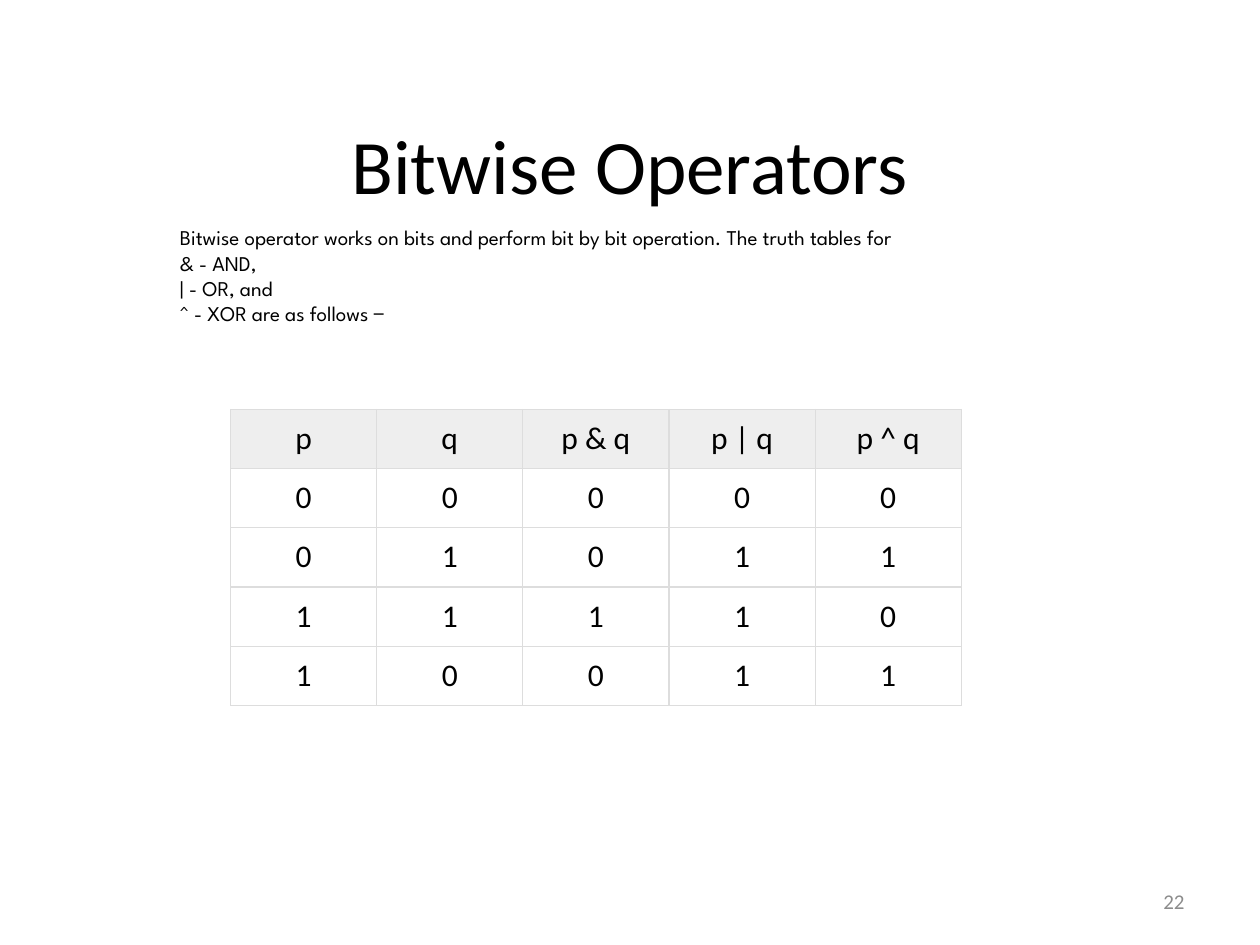
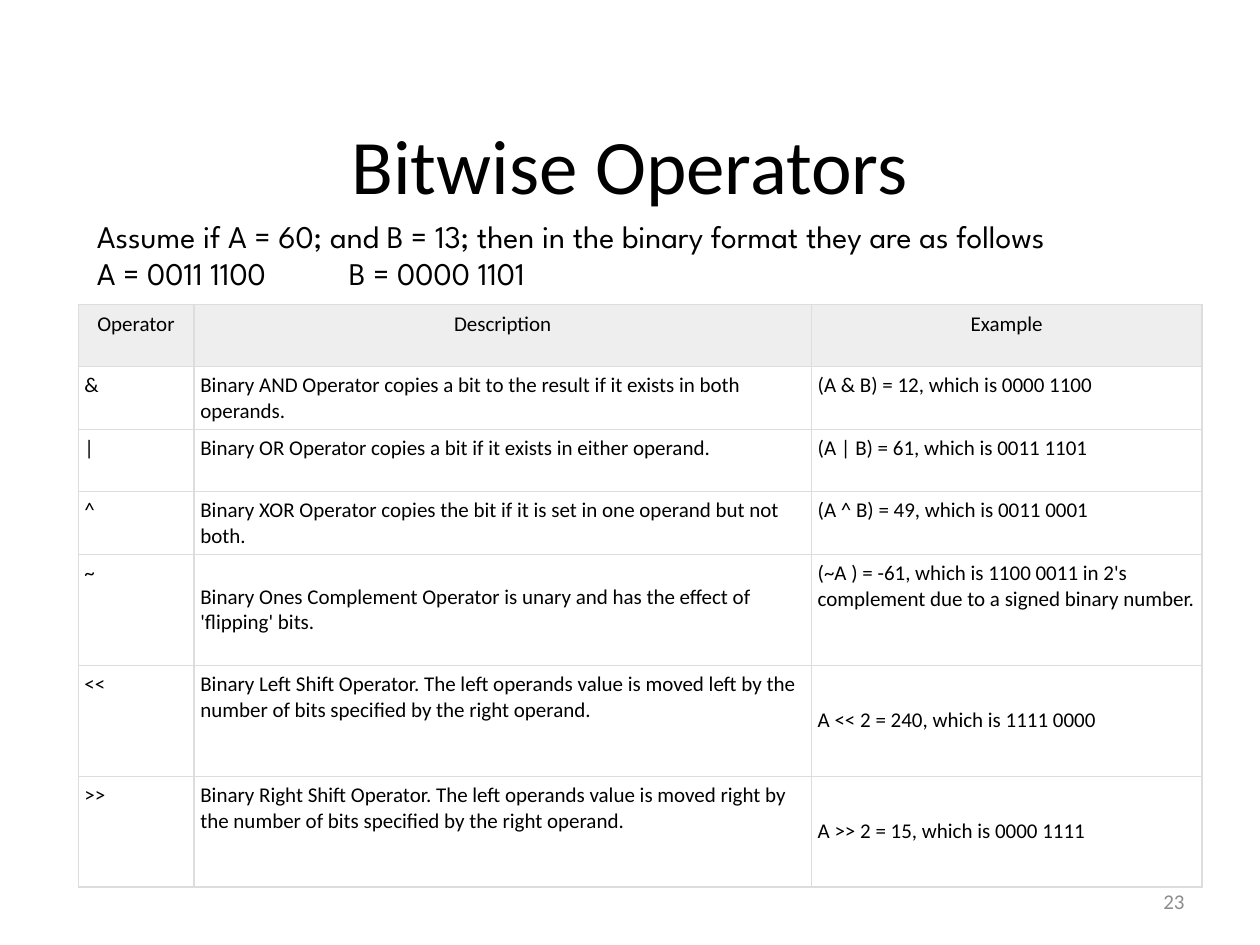
from lxml.etree import SubElement
from pptx import Presentation
from pptx.dml.color import RGBColor
from pptx.enum.text import MSO_ANCHOR as Anchor, PP_ALIGN as Align
from pptx.oxml.ns import qn
from pptx.util import Inches, Pt

BLACK = RGBColor(0x00, 0x00, 0x00)
GREY = RGBColor(0x8C, 0x8C, 0x8C)
HEADER_FILL = RGBColor(0xEE, 0xEE, 0xEE)
BORDER = RGBColor(0xDD, 0xDD, 0xDD)
BODY_FONT = "Calibri"
INTRO_FONT = "League Spartan"

TITLE_BOX = (0.5, 0.67, 9, 1.25)
NUMBER_BOX = (7.17, 6.95, 2.33, 0.4)

TRUTH_INTRO = [
    "Bitwise operator works on bits and perform bit by bit operation. The truth tables for",
    "& - AND,",
    "| - OR, and",
    "^ - XOR are as follows −",
]
TRUTH_ROWS = [
    ("p", "q", "p & q", "p | q", "p ^ q"),
    *[(p, q, p & q, p | q, p ^ q) for p, q in ((0, 0), (0, 1), (1, 1), (1, 0))],
]

OPERATOR_INTRO = [
    "Assume if A = 60; and B = 13; then in the binary format they are as follows",
    "A = 0011 1100\t\tB = 0000 1101",
]
OPERATOR_ROWS = [
    ("Operator", "Description", "Example"),
    ("&", "Binary AND Operator copies a bit to the result if it exists in both operands.",
     "(A & B) = 12, which is 0000 1100"),
    ("|", "Binary OR Operator copies a bit if it exists in either operand.",
     "(A | B) = 61, which is 0011 1101"),
    ("^", "Binary XOR Operator copies the bit if it is set in one operand but not both.",
     "(A ^ B) = 49, which is 0011 0001"),
    ("~", "Binary Ones Complement Operator is unary and has the effect of 'flipping' bits.",
     "(~A ) = -61, which is 1100 0011 in 2's complement due to a signed binary number."),
    ("<<", "Binary Left Shift Operator. The left operands value is moved left by the number "
     "of bits specified by the right operand.",
     "A << 2 = 240, which is 1111 0000"),
    (">>", "Binary Right Shift Operator. The left operands value is moved right by the number "
     "of bits specified by the right operand.",
     "A >> 2 = 15, which is 0000 1111"),
]
CENTERED_CELLS = {(4, 1), (5, 2), (6, 2)}


def set_all(target, values):
    for name, value in values.items():
        setattr(target, name, value)


def write_lines(text_frame, lines, size, font=BODY_FONT, color=BLACK, align=Align.LEFT):
    for index, line in enumerate(lines):
        paragraph = text_frame.add_paragraph() if index else text_frame.paragraphs[0]
        paragraph.alignment = align
        run = paragraph.add_run()
        run.text = line
        set_all(run.font, {"size": Pt(size), "name": font, "bold": False})
        run.font.color.rgb = color


def add_text(slide, box, lines, size, anchor=Anchor.MIDDLE, **text_format):
    text_frame = slide.shapes.add_textbox(*map(Inches, box)).text_frame
    set_all(text_frame, {"word_wrap": True, "vertical_anchor": anchor})
    write_lines(text_frame, lines, size, **text_format)


def add_borders(cell):
    properties = cell._tc.get_or_add_tcPr()
    for side in ("a:lnL", "a:lnR", "a:lnT", "a:lnB"):
        line = SubElement(properties, qn(side), w=str(Pt(0.75)))
        fill = SubElement(line, qn("a:solidFill"))
        SubElement(fill, qn("a:srgbClr"), val=str(BORDER))


def add_grid(slide, box, rows, widths, heights, size, inset, align, centered=()):
    frame = slide.shapes.add_table(len(rows), len(widths), *map(Inches, box))
    table = frame.table
    set_all(table, {"first_row": False, "horz_banding": False})
    for column, width in zip(table.columns, widths):
        column.width = Inches(width)
    for row, height in zip(table.rows, heights):
        row.height = Inches(height)
    margins = dict.fromkeys(
        ("margin_left", "margin_right", "margin_top", "margin_bottom"), Inches(inset))
    for r, values in enumerate(rows):
        for c, value in enumerate(values):
            cell = table.cell(r, c)
            set_all(cell, margins)
            cell.vertical_anchor = Anchor.MIDDLE if (r, c) in centered else Anchor.TOP
            write_lines(cell.text_frame, [str(value)], size,
                        align=align if r else Align.CENTER)
            add_borders(cell)
            if r == 0:
                cell.fill.solid()
                cell.fill.fore_color.rgb = HEADER_FILL
            else:
                cell.fill.background()


def add_base_slide(presentation, number):
    slide = presentation.slides.add_slide(presentation.slide_layouts[6])
    add_text(slide, TITLE_BOX, ["Bitwise Operators"], 44, align=Align.CENTER)
    add_text(slide, NUMBER_BOX, [str(number)], 12, color=GREY, align=Align.RIGHT)
    return slide


def add_truth_slide(presentation):
    slide = add_base_slide(presentation, 22)
    add_grid(slide, (1.83, 3.25, 5.81, 2.36), TRUTH_ROWS, [1.16] * 5, [0.47] * 5,
             size=18, inset=0.08, align=Align.CENTER)
    add_text(slide, (1.33, 1.73, 6.75, 0.91), TRUTH_INTRO, 12,
             font=INTRO_FONT, align=Align.JUSTIFY)


def add_operator_slide(presentation):
    slide = add_base_slide(presentation, 23)
    add_grid(slide, (0.62, 2.42, 8.92, 4.64), OPERATOR_ROWS, [0.92, 4.9, 3.1],
             [0.49] * 4 + [0.88] * 3, size=12, inset=0.05, align=Align.LEFT,
             centered=CENTERED_CELLS)
    add_text(slide, (0.67, 1.67, 8.58, 0.71), OPERATOR_INTRO, 18, anchor=Anchor.TOP,
             font=INTRO_FONT, align=Align.JUSTIFY)


def main():
    presentation = Presentation()
    set_all(presentation, {"slide_width": Inches(10), "slide_height": Inches(7.5)})
    add_truth_slide(presentation)
    add_operator_slide(presentation)
    presentation.save("out.pptx")


if __name__ == "__main__":
    main()
